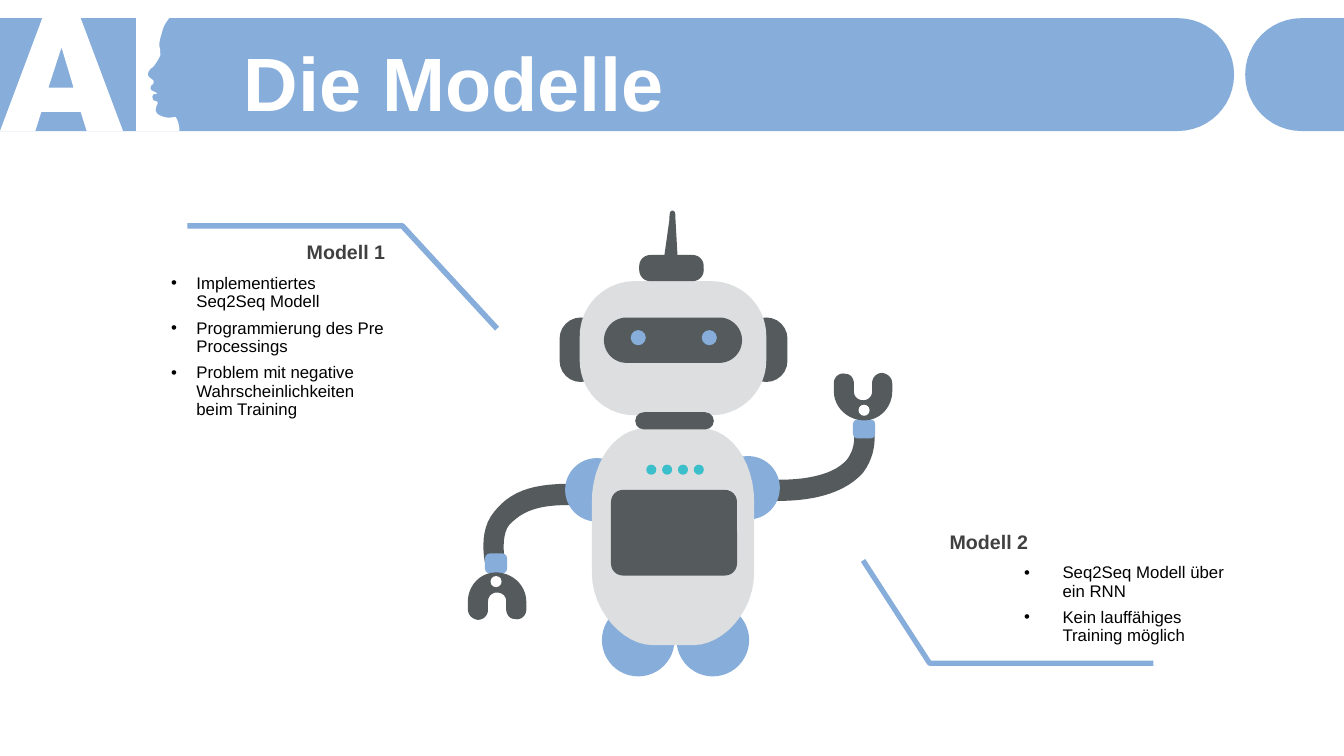
import pptx
import pptx.dml.color
import pptx.enum.shapes
import pptx.enum.text
import pptx.oxml
import pptx.oxml.ns
import pptx.util

Inches = pptx.util.Inches
Pt = pptx.util.Pt
MSO = pptx.enum.shapes.MSO_SHAPE
ANCHOR = pptx.enum.text.MSO_ANCHOR
ALIGN = pptx.enum.text.PP_ALIGN

COLORS = {"blue": "87ADDB", "dark": "555A5C", "light": "DCDEDF", "teal": "3BC0CB",
          "white": "FFFFFF", "heading": "404040", "black": "000000"}

# Contours: a pair is a straight step, six numbers are a Bezier step
BAND = [(0, 0.18), (11.68, 0.18), (11.99, 0.18, 12.24, 0.43, 12.24, 0.74),
        (12.24, 1.05, 11.99, 1.3, 11.68, 1.3), (0, 1.3)]
BAND_END = [(13.33, 0.18), (13.33, 1.3), (12.91, 1.3), (12.6, 1.3, 12.35, 1.05, 12.35, 0.74),
            (12.35, 0.43, 12.6, 0.18, 12.91, 0.18)]
LETTER_A = [(0.42, 0.18), (0.8, 0.18), (1.22, 1.3), (0.86, 1.3), (0.8, 1.11),
            (0.41, 1.11), (0.35, 1.3), (0, 1.3)]
LETTER_A_HOLE = [(0.61, 0.47), (0.48, 0.87), (0.73, 0.87)]
PROFILE = [(1.35, 0.18), (1.68, 0.18), (1.66, 0.2, 1.62, 0.26, 1.61, 0.31), (1.59, 0.38),
           (1.58, 0.42, 1.58, 0.45, 1.58, 0.46), (1.59, 0.48, 1.59, 0.51, 1.59, 0.55),
           (1.58, 0.57), (1.57, 0.59, 1.53, 0.66, 1.51, 0.67),
           (1.48, 0.69, 1.46, 0.73, 1.47, 0.75), (1.48, 0.77, 1.5, 0.78, 1.51, 0.79),
           (1.52, 0.79, 1.53, 0.81, 1.52, 0.83), (1.52, 0.84, 1.5, 0.84, 1.5, 0.85),
           (1.49, 0.87, 1.49, 0.89, 1.51, 0.9), (1.53, 0.91, 1.56, 0.92, 1.56, 0.93),
           (1.56, 0.93, 1.52, 0.93, 1.52, 0.94), (1.51, 0.95, 1.51, 0.97, 1.52, 0.99),
           (1.52, 1, 1.55, 1, 1.56, 1.01), (1.57, 1.03, 1.56, 1.03, 1.55, 1.06),
           (1.54, 1.09, 1.54, 1.13, 1.6, 1.15), (1.64, 1.17, 1.68, 1.17, 1.74, 1.16),
           (1.76, 1.18, 1.78, 1.24, 1.78, 1.3), (1.35, 1.3)]
LEFT_ARM = [(5.64, 4.8), (5.25, 4.8, 5.05, 4.89, 4.9, 5.08), (4.74, 5.27, 4.81, 5.57, 4.81, 5.58),
            (5.01, 5.57), (5.01, 5.59, 4.96, 5.32, 5.05, 5.21),
            (5.17, 5.08, 5.32, 5.01, 5.64, 5.01), (5.7, 5.01, 5.74, 4.96, 5.74, 4.9),
            (5.75, 4.84, 5.7, 4.8, 5.64, 4.8)]
RIGHT_ARM = [(7.72, 4.97), (8.12, 4.97, 8.4, 4.87, 8.56, 4.69), (8.71, 4.49, 8.67, 4.28, 8.67, 4.27),
             (8.47, 4.31), (8.47, 4.32, 8.49, 4.44, 8.4, 4.56), (8.29, 4.69, 8.05, 4.76, 7.73, 4.76),
             (7.67, 4.76, 7.62, 4.81, 7.62, 4.86), (7.62, 4.92, 7.66, 4.97, 7.72, 4.97)]
GRIPPER = [(5.22, 6.05), (5.22, 5.97), (5.22, 5.8, 5.07, 5.67, 4.9, 5.68),
           (4.75, 5.69, 4.64, 5.82, 4.64, 5.97), (4.64, 6.04),
           (4.64, 6.1, 4.68, 6.14, 4.74, 6.15), (4.79, 6.15, 4.84, 6.11, 4.84, 6.05), (4.84, 5.97),
           (4.84, 5.92, 4.87, 5.89, 4.91, 5.88), (4.97, 5.87, 5.02, 5.91, 5.02, 5.96), (5.02, 6.04),
           (5.02, 6.09, 5.05, 6.14, 5.1, 6.14), (5.16, 6.16, 5.22, 6.11, 5.22, 6.05)]
TORSO = [(6.39, 4.25), (6.1, 4.26, 5.87, 4.58, 5.87, 4.98), (5.87, 5.68),
         (5.87, 6.07, 6.19, 6.4, 6.47, 6.4), (6.88, 6.4), (7.17, 6.4, 7.48, 6.07, 7.48, 5.68),
         (7.48, 4.98), (7.48, 4.58, 7.25, 4.26, 6.97, 4.25)]
ANTENNA = [(6.64, 2.18), (6.59, 2.53), (6.59, 2.58, 6.62, 2.62, 6.65, 2.62),
           (6.69, 2.62, 6.72, 2.59, 6.72, 2.54), (6.7, 2.18), (6.7, 2.13, 6.7, 2.09, 6.67, 2.09),
           (6.64, 2.09, 6.64, 2.13, 6.64, 2.18)]


def rgb(name):
    return pptx.dml.color.RGBColor.from_string(COLORS[name])


def flatten(contour, n=12):
    """Turn straight and Bezier steps into points in EMU."""
    pts = [contour[0]]
    for step in contour[1:]:
        if len(step) == 2:
            pts.append(step)
            continue
        ctrl = (pts[-1], step[:2], step[2:4], step[4:])
        for t in (i / n for i in range(1, n + 1)):
            w = ((1 - t) ** 3, 3 * t * (1 - t) ** 2, 3 * t * t * (1 - t), t ** 3)
            pts.append(tuple(sum(k * c[axis] for k, c in zip(w, ctrl)) for axis in (0, 1)))
    return [(Inches(x), Inches(y)) for x, y in pts]


def half_turn(contour, cx, cy):
    """Rotate a contour by 180 degrees around a centre."""
    return [tuple(2 * (cy if i % 2 else cx) - v for i, v in enumerate(step)) for step in contour]


def paint(sp, color):
    sp.shadow.inherit = False
    sp.fill.solid()
    sp.fill.fore_color.rgb = rgb(color)
    sp.line.fill.background()


def add_outline(s, contours, color, line_width=None):
    """Filled closed contours, or an open polyline when line_width is given."""
    builder = None
    for pts in map(flatten, contours):
        if builder is None:
            builder = s.shapes.build_freeform(*pts[0], scale=1.0)
        else:
            builder.move_to(*pts[0])
        builder.add_line_segments(pts[1:], close=line_width is None)
    sp = builder.convert_to_shape()
    paint(sp, color)
    if line_width:
        sp.fill.background()
        sp.line.color.rgb = rgb(color)
        sp.line.width = Pt(line_width)


def add_circle(s, cx, cy, d, color):
    paint(s.shapes.add_shape(MSO.OVAL, Inches(cx - d / 2), Inches(cy - d / 2),
                             Inches(d), Inches(d)), color)


def add_rounded(s, x, y, w, h, color, corner=0.5):
    sp = s.shapes.add_shape(MSO.ROUNDED_RECTANGLE, Inches(x), Inches(y), Inches(w), Inches(h))
    sp.adjustments[0] = corner
    paint(sp, color)


def add_text(s, x, y, w, h, *texts, size=12, color="black", bold=False, align=ALIGN.LEFT,
             anchor=ANCHOR.TOP, spacing=None, before=None, after=None, bullet=None):
    """Text box; bullet is (left margin, hanging indent) in inches."""
    tf = s.shapes.add_textbox(Inches(x), Inches(y), Inches(w), Inches(h)).text_frame
    tf.word_wrap = True
    tf.vertical_anchor = anchor
    for i, text in enumerate(texts):
        p = tf.add_paragraph() if i else tf.paragraphs[0]
        p.alignment, p.line_spacing = align, spacing
        p.space_before, p.space_after = before, after
        r = p.add_run()
        r.text = text
        r.font.name, r.font.size, r.font.bold = "Arial", Pt(size), bold
        r.font.color.rgb = rgb(color)
        if bullet:
            p.level = 1
            pPr = p._p.get_or_add_pPr()
            pPr.set("marL", str(Inches(bullet[0])))
            pPr.set("indent", str(-Inches(bullet[1])))
            ns = pptx.oxml.ns.nsdecls("a")
            pPr.append(pptx.oxml.parse_xml(f'<a:buFont {ns} typeface="Arial"/>'))
            pPr.append(pptx.oxml.parse_xml(f'<a:buChar {ns} char="•"/>'))


def add_header(s):
    add_outline(s, [BAND], "blue")
    add_outline(s, [LETTER_A, LETTER_A_HOLE], "white")
    add_outline(s, [PROFILE], "white")
    add_outline(s, [BAND_END], "blue")
    add_text(s, 2.32, 0.37, 10.69, 0.79, "Die Modelle", size=54, color="white", bold=True,
             anchor=ANCHOR.MIDDLE, spacing=1.1, before=Pt(10))


def add_robot(s):
    # Feet
    for cx in (7.07, 6.33):
        add_circle(s, cx, 6.35, 0.72, "blue")
    # Arms, cuffs and grippers
    add_outline(s, [LEFT_ARM], "dark")
    add_outline(s, [RIGHT_ARM], "dark")
    add_rounded(s, 4.81, 5.49, 0.22, 0.2, "blue", 0.25)
    add_rounded(s, 8.46, 4.16, 0.22, 0.19, "blue", 0.25)
    add_outline(s, [GRIPPER], "dark")
    add_outline(s, [half_turn(GRIPPER, 6.745, 4.925)], "dark")
    for cx, cy in ((4.92, 5.77), (8.57, 4.07)):
        add_circle(s, cx, cy, 0.11, "white")
    # Shoulders and torso
    add_circle(s, 7.42, 4.84, 0.63, "blue")
    add_circle(s, 5.92, 4.86, 0.63, "blue")
    add_outline(s, [TORSO], "light")
    # Head
    for x in (7.39, 5.55):
        add_rounded(s, x, 3.15, 0.42, 0.64, "dark")
    add_rounded(s, 5.75, 2.79, 1.85, 1.33, "light", 0.41)
    add_rounded(s, 6.34, 2.53, 0.64, 0.26, "dark", 0.42)
    add_outline(s, [ANTENNA], "dark")
    add_rounded(s, 5.99, 3.15, 1.37, 0.45, "dark")
    for cx in (6.33, 7.035):
        add_circle(s, cx, 3.35, 0.15, "blue")
    # Neck, lights and screen
    add_rounded(s, 6.3, 4.09, 0.78, 0.17, "dark")
    for i in range(4):
        add_circle(s, 6.46 + i * 0.157, 4.66, 0.1, "teal")
    add_rounded(s, 6.06, 4.86, 1.25, 0.85, "dark", 0.14)


def add_model(s, x, y, title, points, height, align, bullet):
    add_text(s, x, y + 0.35, 3.07, height, *points, spacing=0.9, after=Pt(6), bullet=bullet)
    add_text(s, x, y, 3.07, 0.34, title, size=14, color="heading", bold=True,
             align=align, anchor=ANCHOR.MIDDLE)


def main():
    prs = pptx.Presentation()
    prs.slide_width, prs.slide_height = Inches(13.33), Inches(7.5)
    s = prs.slides.add_slide(prs.slide_layouts[6])
    add_header(s)
    add_robot(s)
    # Leader lines and model descriptions
    add_outline(s, [[(4.93, 3.26), (3.99, 2.24), (1.86, 2.24)]], "blue", 4)
    add_outline(s, [[(8.56, 5.56), (9.22, 6.58), (11.44, 6.58)]], "blue", 3.75)
    add_model(s, 9.32, 5.2, "Modell 2",
              ["Seq2Seq Modell über ein RNN", "Kein lauffähiges Training möglich"],
              0.91, ALIGN.LEFT, (1.12, 0.38))
    add_model(s, 0.85, 2.33, "Modell 1",
              ["Implementiertes Seq2Seq Modell", "Programmierung des Pre Processings",
               "Problem mit negative Wahrscheinlichkeiten beim Training"],
              1.54, ALIGN.RIGHT, (1, 0.25))
    prs.save("out.pptx")


if __name__ == "__main__":
    main()
